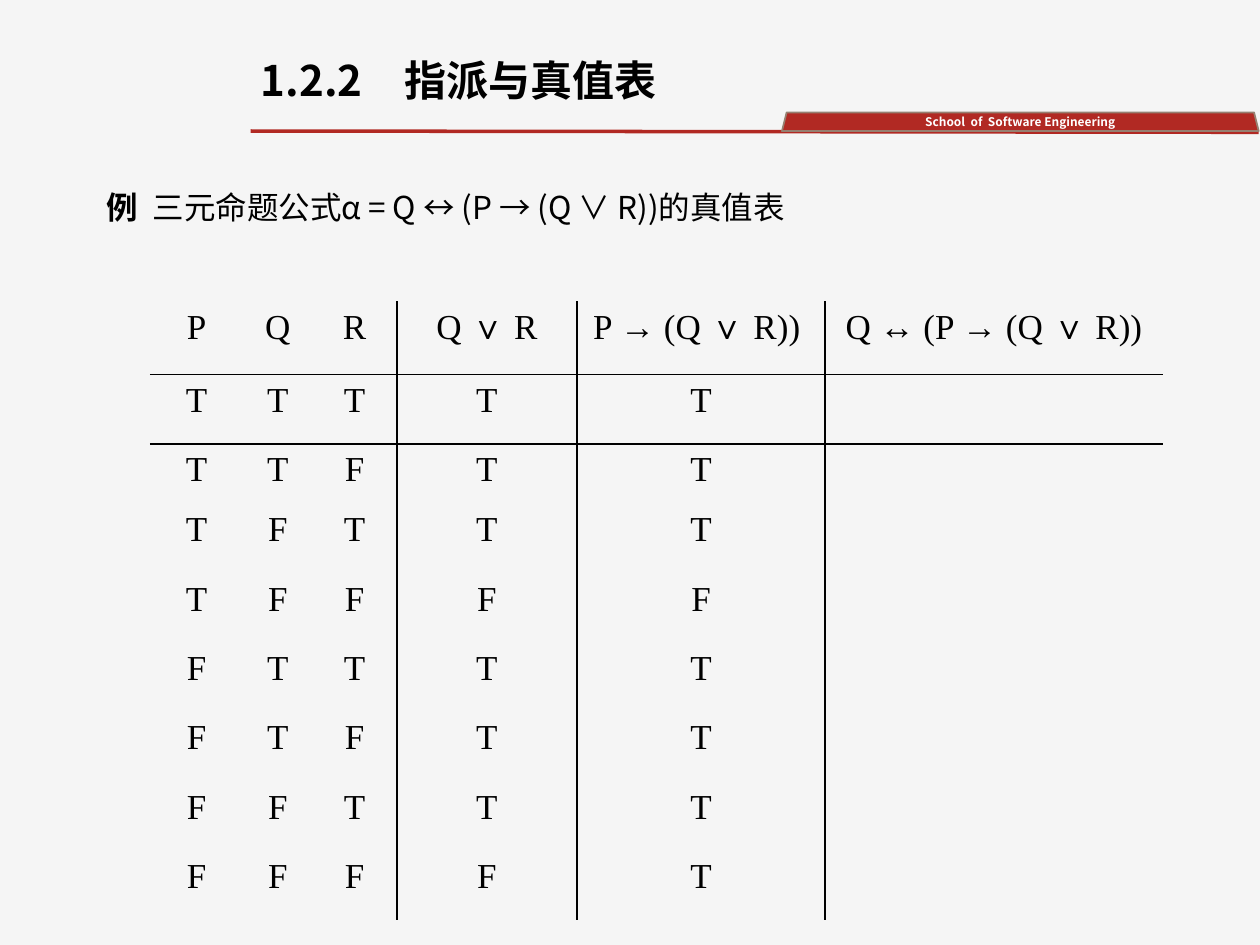
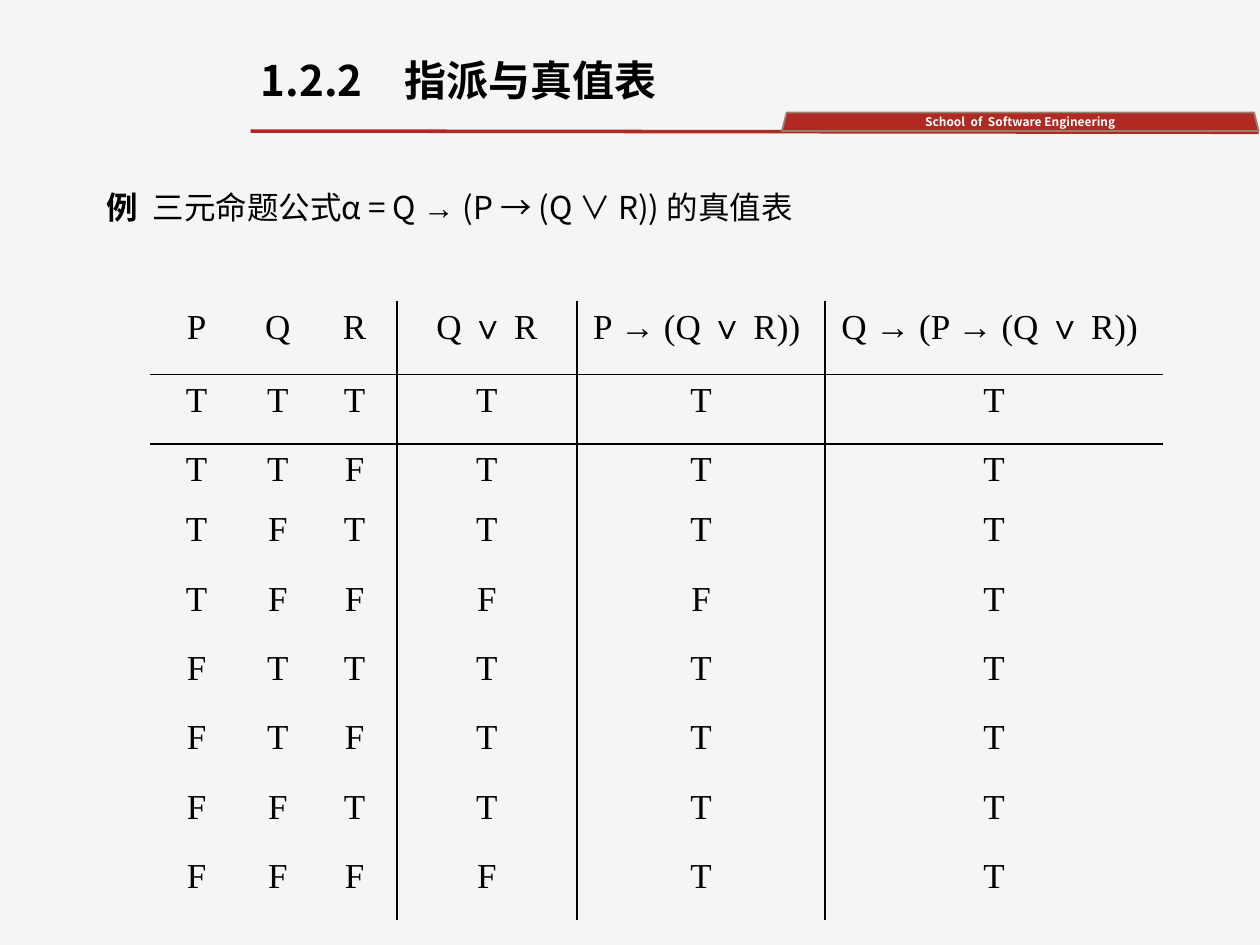
from dataclasses import dataclass
from itertools import product
from lxml.etree import SubElement
from pptx import Presentation
from pptx.dml.color import RGBColor
from pptx.enum.shapes import MSO_CONNECTOR, MSO_SHAPE
from pptx.enum.text import MSO_ANCHOR, PP_ALIGN
from pptx.oxml.ns import qn
from pptx.util import Inches, Pt


@dataclass(frozen=True)
class Theme:
    paper: str = "F5F5F5"
    ink: str = "000000"
    red: str = "B12923"
    edge: str = "968071"
    white: str = "FFFFFF"
    sans: str = "Noto Sans CJK SC"
    serif: str = "Times New Roman"
    head: float = 24
    body: float = 18
    cell: float = 20
    tag: float = 6.8


@dataclass(frozen=True)
class Box:
    x: float
    y: float
    w: float
    h: float

    def share(self, x, y, w, h):
        """Box inside this one, given as shares of its size."""
        return Box(self.x + x * self.w, self.y + y * self.h,
                   w * self.w, h * self.h)

    def emu(self):
        return [Inches(v) for v in (self.x, self.y, self.w, self.h)]


look = Theme()
page = Box(0, 0, 10, 7.5)
COLS = [0.74, 0.55, 0.67, 1.43, 1.97, 2.68]
ROWS = [0.58, 0.55, 0.48] + [0.55] * 6
PLAIN = "{2D5ABB26-0587-4C30-8999-92F81FD0307C}"


def rgb(code):
    return RGBColor.from_string(code)


def write(frame, *runs, size=look.body, font=look.sans, color=look.ink,
          bold=False, align=PP_ALIGN.LEFT, line=None, before=None):
    """Write one paragraph; a run is a text or (text, own format)."""
    para = frame.paragraphs[0]
    para.alignment = align
    if line:
        para.line_spacing = line
    if before:
        para.space_before = Pt(before)
    for item in runs:
        text, own = (item, {}) if isinstance(item, str) else item
        run = para.add_run()
        run.text = text
        run.font.size = Pt(size)
        run.font.bold = own.get("bold", bold)
        run.font.color.rgb = rgb(color)
        face = own.get("font", font)
        run.font.name = face
        SubElement(run.font._element, qn("a:ea")).set("typeface", face)


def fit(frame):
    frame.word_wrap = True
    frame.vertical_anchor = MSO_ANCHOR.TOP
    frame.margin_top = 0


def band(slide, box):
    """Red rule and school tag, moved to the layout so slides share them."""
    x, y, w, h = box.emu()
    rule = slide.shapes.add_connector(
        MSO_CONNECTOR.STRAIGHT, x, y + h - Inches(0.01), x + w, y + h)
    rule.line.color.rgb = rgb(look.red)
    rule.line.width = Pt(2)
    SubElement(rule.element.spPr, qn("a:effectLst"))

    tag = slide.shapes.add_shape(
        MSO_SHAPE.TRAPEZOID, *box.share(0.527, 0, 0.473, 0.94).emu())
    tag.shadow.inherit = False
    tag.fill.solid()
    tag.fill.fore_color.rgb = rgb(look.red)
    tag.line.color.rgb = rgb(look.edge)
    tag.line.width = Pt(1)
    frame = tag.text_frame
    frame.margin_top = frame.margin_bottom = 0
    frame.vertical_anchor = MSO_ANCHOR.MIDDLE
    write(frame, "School  of  Software Engineering", size=look.tag,
          color=look.white, bold=True, align=PP_ALIGN.CENTER)

    for shape in (rule, tag):
        slide.slide_layout.shapes.element.append(shape.element)


def title(slide, box, text):
    shape = slide.shapes.title
    shape.left, shape.top, shape.width, shape.height = box.emu()
    fit(shape.text_frame)
    write(shape.text_frame, text, size=look.head, bold=True,
          line=0.9, before=7.5)


def lead(slide, box, runs):
    frame = slide.shapes.add_textbox(*box.emu()).text_frame
    fit(frame)
    write(frame, ("例", {"bold": True}), *runs,
          align=PP_ALIGN.JUSTIFY, line=0.9, before=7.5)


def rim(cell, sides):
    """Draw 1 pt borders on the named sides."""
    props = cell._tc.get_or_add_tcPr()
    for side in "LRTB":
        if side in sides:
            edge = SubElement(props, qn("a:ln" + side), w=str(Pt(1)))
            fill = SubElement(edge, qn("a:solidFill"))
            SubElement(fill, qn("a:srgbClr"), val=look.ink)


def sides(row, col):
    """Rule below the heads, and between the columns from R onward."""
    return (("L" if col > 2 else "") + ("R" if 2 <= col < 5 else "")
            + ("B" if row == 0 else "T" if row == 1 else ""))


def truth(last):
    """Truth rows; last gives the final column, or None to leave it open."""
    mark = {True: "T", False: "F"}
    for keys in product("TF", repeat=3):
        p, q, r = (key == "T" for key in keys)
        either = q or r
        then = not p or either
        end = mark[last(q, then)] if last else ""
        yield [*keys, mark[either], mark[then], end]


def grid(slide, box, final, last):
    heads = ["P", "Q", "R", "Q ∨ R", "P → (Q ∨ R)) ", final]
    rows = [heads, *truth(last)]
    table = slide.shapes.add_table(
        len(ROWS), len(COLS), *box.emu()).table
    table.first_row = table.horz_banding = False
    table._tbl.tblPr.find(qn("a:tableStyleId")).text = PLAIN
    for col, wide in zip(table.columns, COLS):
        col.width = Inches(box.w * wide / sum(COLS))
    for row, high in zip(table.rows, ROWS):
        row.height = Inches(box.h * high / sum(ROWS))
    for i, row in enumerate(rows):
        for j, text in enumerate(row):
            cell = table.cell(i, j)
            rim(cell, sides(i, j))
            cell.fill.background()
            if text:
                write(cell.text_frame, text, size=look.cell,
                      font=look.serif, align=PP_ALIGN.CENTER, before=4)


def lesson(deck, runs, final, last=None):
    """One truth table slide."""
    slide = deck.slides.add_slide(deck.slide_layouts[5])
    title(slide, page.share(0.197, 0.064, 0.455, 0.075), "1.2.2　指派与真值表")
    lead(slide, page.share(0.075, 0.203, 0.892, 0.695), runs)
    grid(slide, page.share(0.119, 0.319, 0.804, 0.655), final, last)
    return slide


deck = Presentation()
deck.slide_width, deck.slide_height = Inches(page.w), Inches(page.h)
back = deck.slide_master.background.fill
back.solid()
back.fore_color.rgb = rgb(look.paper)

# Biconditional: the last column is left to fill in
first = lesson(deck, ["  三元命题公式α = Q ↔ (P → (Q ∨ R))的真值表"],
               "Q ↔ (P → (Q ∨ R))")
band(first, page.share(0.199, 0.119, 0.8, 0.021))

# Implication: the full table
lesson(deck, ["  三元命题公式α = Q ", ("→ ", {"font": look.serif}),
              "(P → (Q ∨ R)) 的真值表"],
       "Q → (P → (Q ∨ R)) ", lambda q, then: not q or then)

deck.save("out.pptx")
